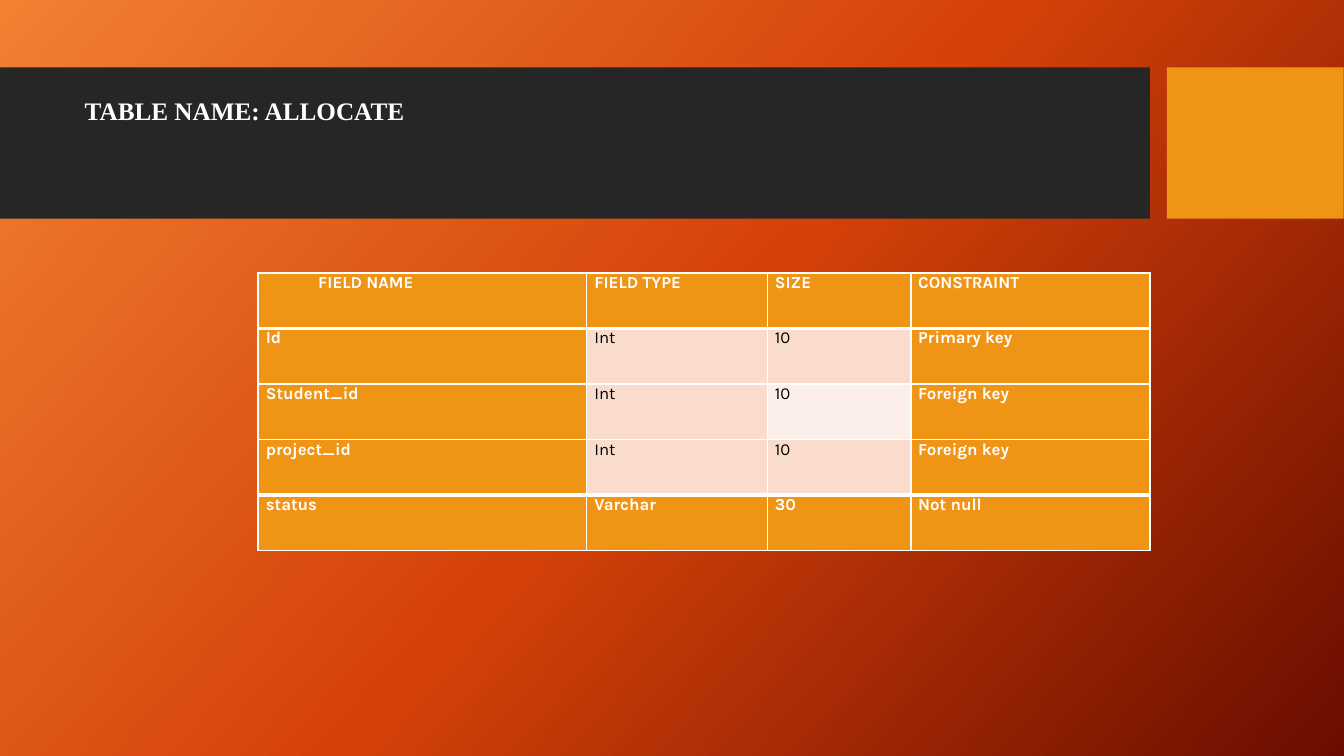
from lxml import etree
from pptx import Presentation
from pptx.dml.color import RGBColor
from pptx.enum.shapes import MSO_SHAPE as Shape
from pptx.enum.text import MSO_ANCHOR as Anchor, PP_ALIGN as Align
from pptx.oxml import parse_xml
from pptx.oxml.ns import nsdecls, qn
from pptx.util import Cm, Pt

WHITE = RGBColor(0xFF, 0xFF, 0xFF)
BLACK = RGBColor(0x00, 0x00, 0x00)
DARK = RGBColor(0x26, 0x26, 0x26)
AMBER = RGBColor(0xF0, 0x94, 0x15)
PEACH = RGBColor(0xF9, 0xDC, 0xCC)
PALE = RGBColor(0xFC, 0xEE, 0xE8)
GLOW = [(0, RGBColor(0xF1, 0x80, 0x31)),
        (50, RGBColor(0xD5, 0x42, 0x09)),
        (100, RGBColor(0x6A, 0x0D, 0x00))]

ROWS = [
    ["FIELD NAME", "FIELD TYPE", "SIZE", "CONSTRAINT"],
    ["Id", "Int", "10", "Primary key"],
    ["Student_id", "Int", "10", "Foreign key"],
    ["project_id", "Int", "10", "Foreign key"],
    ["status", "Varchar", "30", "Not null"],
]
WIDTHS = [8.28, 4.57, 3.61, 6.02]
INDENTS = [0.2, 0.2, 0.18, 0.18]
HIGH = 1.4


class Deck:
    head_font = "Times New Roman"
    body_font = "Karla"

    def __init__(self):
        self.prs = Presentation()
        self.prs.slide_width, self.prs.slide_height = Cm(33.87), Cm(19.05)
        self.slide = self.prs.slides.add_slide(self.prs.slide_layouts[5])

    def backdrop(self, stops, angle):
        fill = self.slide.background.fill
        fill.gradient()
        fill.gradient_angle = 360 - angle
        root = self.slide.background._cSld
        group = next(root.iter(qn("a:gsLst")))
        for old in list(group):
            group.remove(old)
        for place, color in stops:
            stop = etree.SubElement(group, qn("a:gs"), pos=str(place * 1000))
            etree.SubElement(stop, qn("a:srgbClr"), val=str(color))

    def bar(self, left, top, width, height, color):
        box = self.slide.shapes.add_shape(
            Shape.RECTANGLE, Cm(left), Cm(top), Cm(width), Cm(height))
        box.shadow.inherit = False
        box.fill.solid()
        box.fill.fore_color.rgb = color
        box.line.fill.background()

    def style(self, para, font, size, color, bold):
        para.alignment = Align.LEFT
        for run in para.runs:
            run.font.name, run.font.size = font, Pt(size)
            run.font.bold, run.font.color.rgb = bold, color

    def title(self, text, left, top, width, height):
        head = self.slide.shapes.title
        head.left, head.top = Cm(left), Cm(top)
        head.width, head.height = Cm(width), Cm(height)
        # Bring the title in front of the bars
        self.slide.shapes._spTree.append(head._element)
        frame = head.text_frame
        frame.text = text
        frame.vertical_anchor = Anchor.MIDDLE
        frame.margin_bottom = Cm(1.65)
        para = frame.paragraphs[0]
        para.line_spacing = 0.9
        self.style(para, self.head_font, 18, WHITE, True)

    def edge(self, cell, side, width):
        cell._tc.get_or_add_tcPr().append(parse_xml(
            f'<a:ln{side} {nsdecls("a")} w="{Pt(width)}"><a:solidFill>'
            f'<a:srgbClr val="{WHITE}"/></a:solidFill></a:ln{side}>'))

    def cell(self, cell, text, indent, fill, color, bold, top, base):
        for side, width in zip("LRTB", (1, 1, top, base)):
            self.edge(cell, side, width)
        cell.fill.solid()
        cell.fill.fore_color.rgb = fill
        cell.margin_left = cell.margin_right = 0
        cell.margin_top = cell.margin_bottom = 0
        cell.text_frame.text = text
        para = cell.text_frame.paragraphs[0]
        para._p.get_or_add_pPr().set("marL", str(Cm(indent)))
        self.style(para, self.body_font, 12, color, bold)

    def table(self, rows, left, top):
        last = len(rows) - 1
        grid = self.slide.shapes.add_table(
            len(rows), len(WIDTHS), Cm(left), Cm(top),
            Cm(sum(WIDTHS)), Cm(HIGH * len(rows))).table
        grid.first_row = grid.horz_banding = False
        for col, width in zip(grid.columns, WIDTHS):
            col.width = Cm(width)
        for r, row in enumerate(rows):
            grid.rows[r].height = Cm(HIGH)
            top_line = 3 if r in (1, last) else 1
            base_line = 3 if r in (0, last - 1) else 1
            for c, text in enumerate(row):
                plain = 0 < r < last and c in (1, 2)
                fill = PEACH if plain else AMBER
                if (r, c) == (2, 2):
                    fill = PALE
                indent = 1.52 if (r, c) == (0, 0) else INDENTS[c]
                self.cell(grid.cell(r, c), text, indent, fill,
                          BLACK if plain else WHITE, not plain,
                          top_line, base_line)


def main():
    deck = Deck()
    # Background and heading band
    deck.backdrop(GLOW, 42)
    deck.bar(0, 1.7, 28.98, 3.81, DARK)
    deck.bar(29.41, 1.7, 4.45, 3.81, AMBER)
    deck.title("TABLE NAME: ALLOCATE", 1.88, 2.08, 26.7, 3)
    # Field table
    deck.table(ROWS, 6.5, 6.88)
    deck.prs.save("out.pptx")


if __name__ == "__main__":
    main()
